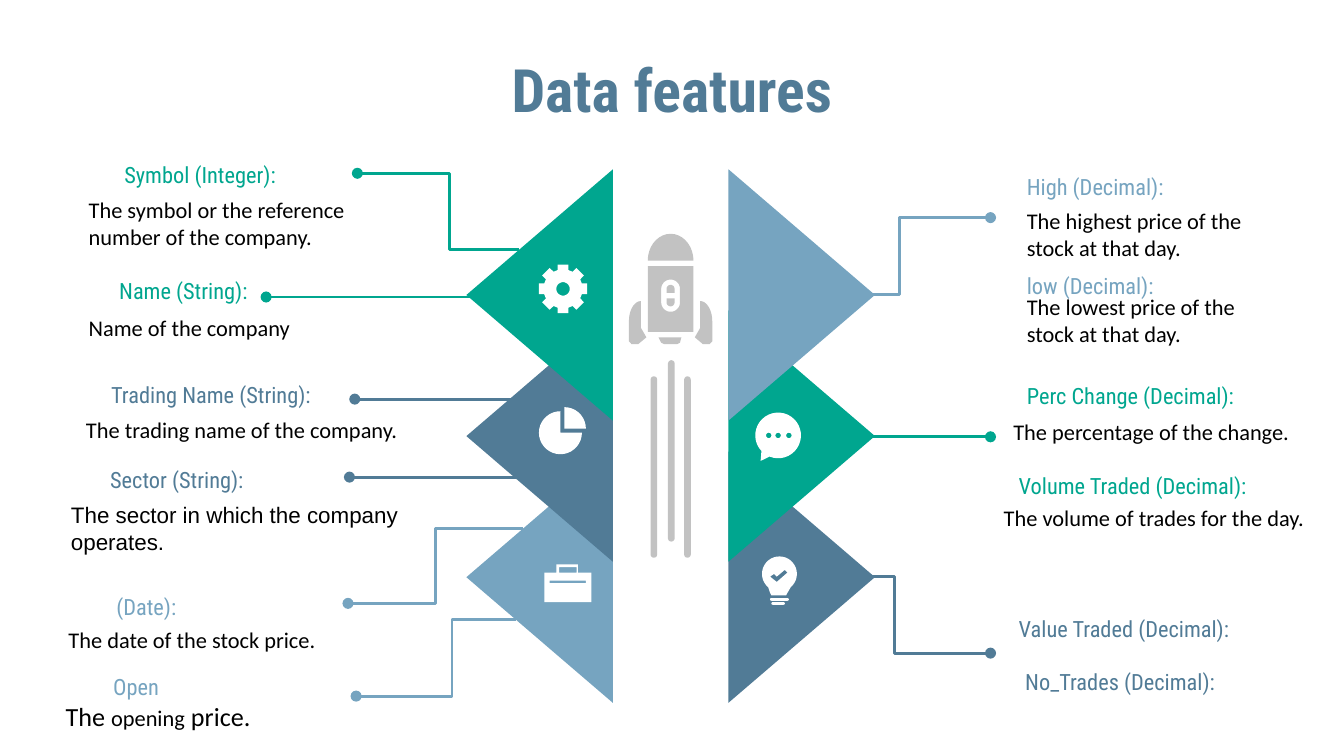
from math import cos, radians, sin
from typing import NamedTuple

from lxml.etree import SubElement
from pptx import Presentation
from pptx.dml.color import RGBColor
from pptx.enum.shapes import MSO_CONNECTOR, MSO_SHAPE
from pptx.enum.text import MSO_ANCHOR, PP_ALIGN
from pptx.oxml.ns import qn
from pptx.util import Inches, Pt

GREEN, NAVY, SKY = "00A68F", "517B96", "76A4C0"
GREY, WHITE, BLACK = "C2C2C2", "FFFFFF", "000000"
HEADING_FONT, BODY_FONT = "Roboto Condensed", "Calibri"

Point = tuple[float, float]
Contour = list[Point]


class Style(NamedTuple):
    font: str = BODY_FONT
    size: int = 12
    align: PP_ALIGN = PP_ALIGN.LEFT
    anchor: MSO_ANCHOR = MSO_ANCHOR.MIDDLE
    insets: tuple[float, float, float, float] = (0, 0.1, 0.1, 0.1)
    bold: bool = False
    spacing: float = 1.0


class Label(NamedTuple):
    x: float
    y: float
    w: float
    h: float
    text: str
    color: str
    style: Style


class Link(NamedTuple):
    start: Point
    end: Point
    color: str
    bend: float | None = None  # None gives a straight line


BODY = Style()
LOOSE = Style(spacing=1.15)
LEFT_HEAD = Style(HEADING_FONT, align=PP_ALIGN.RIGHT)
RIGHT_HEAD = Style(HEADING_FONT, insets=(0, 0.1, 0, 0.1))
FREE = Style(anchor=MSO_ANCHOR.TOP, insets=(0.1, 0.05, 0.1, 0.05))
TITLE = Style(HEADING_FONT, 32, PP_ALIGN.CENTER, MSO_ANCHOR.TOP, (0.1, 0, 0.1, 0.1), True)

LABELS = [
    Label(2.18, 0.39, 5.64, 0.48, "Data features", NAVY, TITLE),
    # Left column
    Label(0.57, 1.13, 1.62, 0.34, "Symbol (Integer): ", GREEN, LEFT_HEAD),
    Label(0.66, 1.41, 2.45, 0.5, "The symbol or the reference number of the company.", BLACK, BODY),
    Label(0.36, 1.99, 1.62, 0.34, "Name (String): ", GREEN, LEFT_HEAD),
    Label(0.66, 2.19, 2.45, 0.5, "Name of the company", BLACK, BODY),
    Label(0.76, 2.84, 1.69, 0.19, "Trading Name (String): ", NAVY, LEFT_HEAD),
    Label(0.64, 2.95, 2.57, 0.5, "The trading name of the company.", BLACK, BODY),
    Label(0.36, 3.48, 1.59, 0.18, "Sector (String): ", NAVY, LEFT_HEAD),
    Label(0.43, 3.68, 3.04, 0.5, "The sector in which the company operates.", BLACK,
          FREE._replace(font="Arial")),
    Label(0.83, 4.4, 0.58, 0.23, "(Date): ", SKY, LEFT_HEAD),
    Label(0.51, 4.51, 2.24, 0.5, "The date of the stock price.", BLACK, BODY),
    Label(0.2, 4.98, 1.12, 0.25, "Open ", SKY, LEFT_HEAD),
    # Right column
    Label(7.64, 1.29, 1.53, 0.19, "High (Decimal):", SKY, RIGHT_HEAD),
    Label(7.64, 1.49, 1.85, 0.5, "The highest price of the stock at that day.", BLACK, BODY),
    Label(7.64, 2.03, 1.53, 0.19, "low (Decimal):", SKY, RIGHT_HEAD),
    Label(7.64, 2.13, 1.85, 0.5, "The lowest price of the stock at that day.", BLACK, BODY),
    Label(7.64, 2.85, 1.6, 0.18, "Perc Change (Decimal):", GREEN, RIGHT_HEAD),
    Label(7.54, 2.95, 2.24, 0.5, "The percentage of the change.", BLACK, LOOSE),
    Label(7.58, 3.55, 1.91, 0.12, "Volume Traded (Decimal):", GREEN, RIGHT_HEAD),
    Label(7.37, 3.7, 2.6, 0.3, "The volume of trades for the day.", BLACK, FREE),
    Label(7.58, 4.48, 2.4, 0.4, "Value Traded (Decimal):", NAVY, RIGHT_HEAD),
    Label(7.53, 4.92, 2.4, 0.3, "No_Trades (Decimal):", NAVY, FREE._replace(font=HEADING_FONT)),
]
OPENING = Label(0.39, 5.16, 5, 0.34, "", BLACK, FREE)

LINKS = [
    Link((3.86, 1.86), (2.66, 1.29), GREEN, 0.43),
    Link((3.57, 2.21), (1.98, 2.21), GREEN),
    Link((4.23, 2.97), (2.64, 2.97), NAVY),
    Link((4.19, 3.55), (2.6, 3.55), NAVY),
    Link((3.89, 3.93), (2.59, 4.49), SKY, 0.5),
    Link((3.84, 4.61), (2.65, 5.18), SKY, 0.4),
    Link((6.18, 2.19), (7.37, 1.62), SKY, 0.43),
    Link((7.37, 3.25), (5.79, 3.25), GREEN),
    Link((6.18, 4.29), (7.37, 4.86), NAVY, 0.4),
]


def rgb(color: str) -> RGBColor:
    return RGBColor.from_string(color)


def paint(sp, color: str) -> None:
    sp.fill.solid()
    sp.fill.fore_color.rgb = rgb(color)
    sp.line.fill.background()
    sp.shadow.inherit = False


def add_preset(shapes, kind: MSO_SHAPE, x: float, y: float, w: float, h: float, color: str):
    sp = shapes.add_shape(kind, Inches(x), Inches(y), Inches(w), Inches(h))
    paint(sp, color)
    return sp


def add_bar(shapes, x: float, y: float, w: float, h: float, color: str) -> None:
    add_preset(shapes, MSO_SHAPE.ROUNDED_RECTANGLE, x, y, w, h, color).adjustments[0] = 0.5


def add_outline(shapes, color: str, *contours: Contour) -> None:
    """Draw one filled shape; contours after the first cut holes."""
    builder = None
    for contour in contours:
        pts = [(Inches(x), Inches(y)) for x, y in contour]
        if builder is None:
            builder = shapes.build_freeform(*pts[0], scale=1.0)
        else:
            builder.move_to(*pts[0])
        builder.add_line_segments(pts[1:], close=True)
    paint(builder.convert_to_shape(), color)


def arc(cx: float, cy: float, rx: float, ry: float, start: float, end: float) -> Contour:
    steps = max(8, round(abs(end - start) / 10))
    angles = [radians(start + (end - start) * i / steps) for i in range(steps + 1)]
    return [(cx + rx * cos(a), cy + ry * sin(a)) for a in angles]


def circle(cx: float, cy: float, r: float) -> Contour:
    return arc(cx, cy, r, r, 0, 360)


def box(x1: float, y1: float, x2: float, y2: float) -> Contour:
    return [(x1, y1), (x2, y1), (x2, y2), (x1, y2)]


def gear(cx: float, cy: float) -> Contour:
    tooth = [(0.14, -0.04), (0.18, -0.04), (0.18, 0.04), (0.14, 0.04)]
    turns = [radians(45 * k) for k in range(8)]
    return [(cx + u * cos(a) - v * sin(a), cy + u * sin(a) + v * cos(a))
            for a in turns for u, v in tooth]


def add_link(shapes, link: Link) -> None:
    kind = MSO_CONNECTOR.STRAIGHT if link.bend is None else MSO_CONNECTOR.ELBOW
    c = shapes.add_connector(kind, *map(Inches, link.start + link.end))
    c.line.color.rgb = rgb(link.color)
    c.line.width = Pt(1.5)
    ln = c.line._get_or_add_ln()
    if link.bend is None:
        SubElement(ln, qn("a:headEnd"), type="oval")
    else:
        guides = c._element.spPr.find(qn("a:prstGeom")).find(qn("a:avLst"))
        SubElement(guides, qn("a:gd"), name="adj1", fmla=f"val {round(link.bend * 100000)}")
    SubElement(ln, qn("a:tailEnd"), type="oval")
    SubElement(c._element.spPr, qn("a:effectLst"))


def format_run(r, style: Style, color: str) -> None:
    r.font.name, r.font.size, r.font.bold = style.font, Pt(style.size), style.bold
    r.font.color.rgb = rgb(color)


def add_label(shapes, label: Label):
    st = label.style
    tf = shapes.add_textbox(*map(Inches, label[:4])).text_frame
    tf.word_wrap, tf.vertical_anchor = True, st.anchor
    tf.margin_left, tf.margin_top, tf.margin_right, tf.margin_bottom = map(Inches, st.insets)
    p = tf.paragraphs[0]
    p.text, p.alignment, p.line_spacing = label.text, st.align, st.spacing
    for r in p.runs:
        format_run(r, st, label.color)
    return p


def add_rocket(shapes) -> None:
    cx = 4.99
    fin = arc(4.77, 2.39, 0.09, 0.15, 270, 180) + [
        (4.68, 2.54), (4.7, 2.56), (4.75, 2.56), (4.81, 2.51), (4.77, 2.44)]
    nozzle = [(4.9, 2.51), (4.92, 2.55), (4.94, 2.56), (5.04, 2.56), (5.06, 2.55), (5.07, 2.51)]
    window = arc(cx, 2.15, 0.07, 0.07, 180, 360) + arc(cx, 2.25, 0.07, 0.07, 0, 180)
    for part in (fin, [(2 * cx - x, y) for x, y in fin], nozzle,
                 arc(cx, 1.94, 0.17, 0.2, 180, 360),
                 arc(cx, 2.15, 0.03, 0.03, 180, 360) + [(5.02, 2.18), (4.96, 2.18)],
                 arc(cx, 2.25, 0.03, 0.03, 0, 180) + [(4.96, 2.22), (5.02, 2.22)]):
        add_outline(shapes, GREY, part)
    add_outline(shapes, GREY, box(4.82, 1.98, 5.16, 2.47), window)
    for x, y in ((4.84, 2.8), (5.09, 2.8), (4.97, 2.68)):
        add_bar(shapes, x, y, 0.05, 1.35, GREY)


def add_icons(shapes) -> None:
    # Gear, pie and briefcase
    add_outline(shapes, WHITE, gear(4.19, 2.15), circle(4.19, 2.15, 0.05))
    add_outline(shapes, WHITE, [(4.2, 3.19)] + arc(4.2, 3.19, 0.16, 0.16, 270, 360))
    add_outline(shapes, WHITE, [(4.17, 3.22)] + arc(4.17, 3.22, 0.16, 0.16, 0, 270))
    case = [(4.05, 4.26), (4.14, 4.26), (4.14, 4.2), (4.3, 4.2),
            (4.3, 4.26), (4.4, 4.26), (4.4, 4.48), (4.05, 4.48)]
    add_outline(shapes, WHITE, case, box(4.16, 4.22, 4.29, 4.26), box(4.09, 4.32, 4.36, 4.34))
    # Speech bubble and light bulb
    bubble = arc(5.79, 3.24, 0.17, 0.17, 137, 472) + [(5.66, 3.43)]
    add_outline(shapes, WHITE, bubble, *(circle(x, 3.24, 0.02) for x in (5.72, 5.79, 5.87)))
    bulb = arc(5.8, 4.27, 0.13, 0.13, 130, 410) + [
        (5.86, 4.41), (5.85, 4.43), (5.74, 4.43), (5.73, 4.41)]
    check = [(5.84, 4.24), (5.86, 4.26), (5.78, 4.33), (5.73, 4.29), (5.76, 4.27), (5.78, 4.29)]
    add_outline(shapes, WHITE, bulb, check)
    add_bar(shapes, 5.73, 4.45, 0.14, 0.02, WHITE)
    add_bar(shapes, 5.74, 4.48, 0.1, 0.02, WHITE)


def main() -> None:
    prs = Presentation()
    prs.slide_width, prs.slide_height = Inches(10), Inches(10 * 9 / 16)
    shapes = prs.slides.add_slide(prs.slide_layouts[6]).shapes

    # Overlapping triangles, lowest row at the back
    for x, turn, colors in ((3.08, 270, (GREEN, NAVY, SKY)), (5.03, 90, (SKY, GREEN, NAVY))):
        for row in (2, 1, 0):
            sp = add_preset(shapes, MSO_SHAPE.ISOSCELES_TRIANGLE,
                            x, 1.65 + 1.05 * row, 1.87, 1.09, colors[row])
            sp.rotation = turn

    for link in LINKS:
        add_link(shapes, link)
    add_rocket(shapes)
    add_icons(shapes)

    # Texts, the last one in mixed sizes
    for label in LABELS:
        add_label(shapes, label)
    p = add_label(shapes, OPENING)
    for text, size in (("The ", 14), ("opening", 12), (" price.", 14)):
        r = p.add_run()
        r.text = text
        format_run(r, FREE._replace(size=size), BLACK)

    prs.save("out.pptx")


if __name__ == "__main__":
    main()
